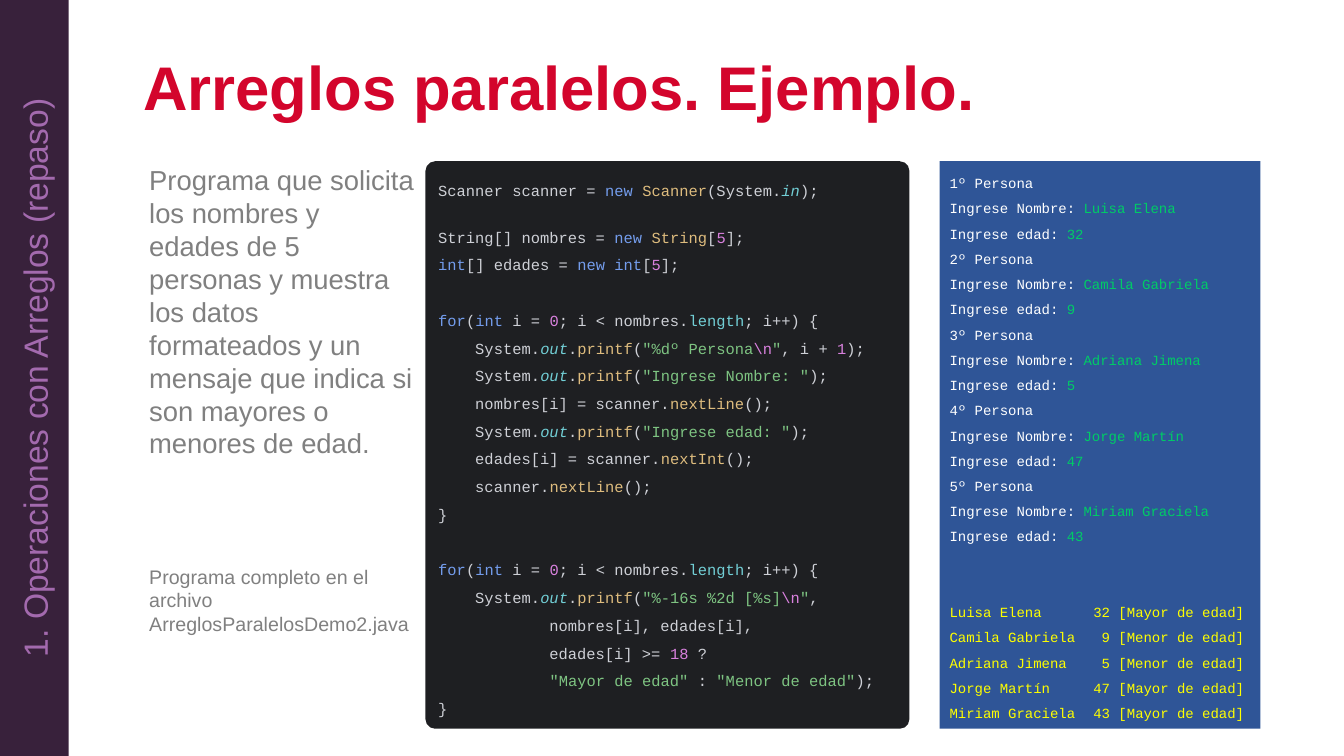
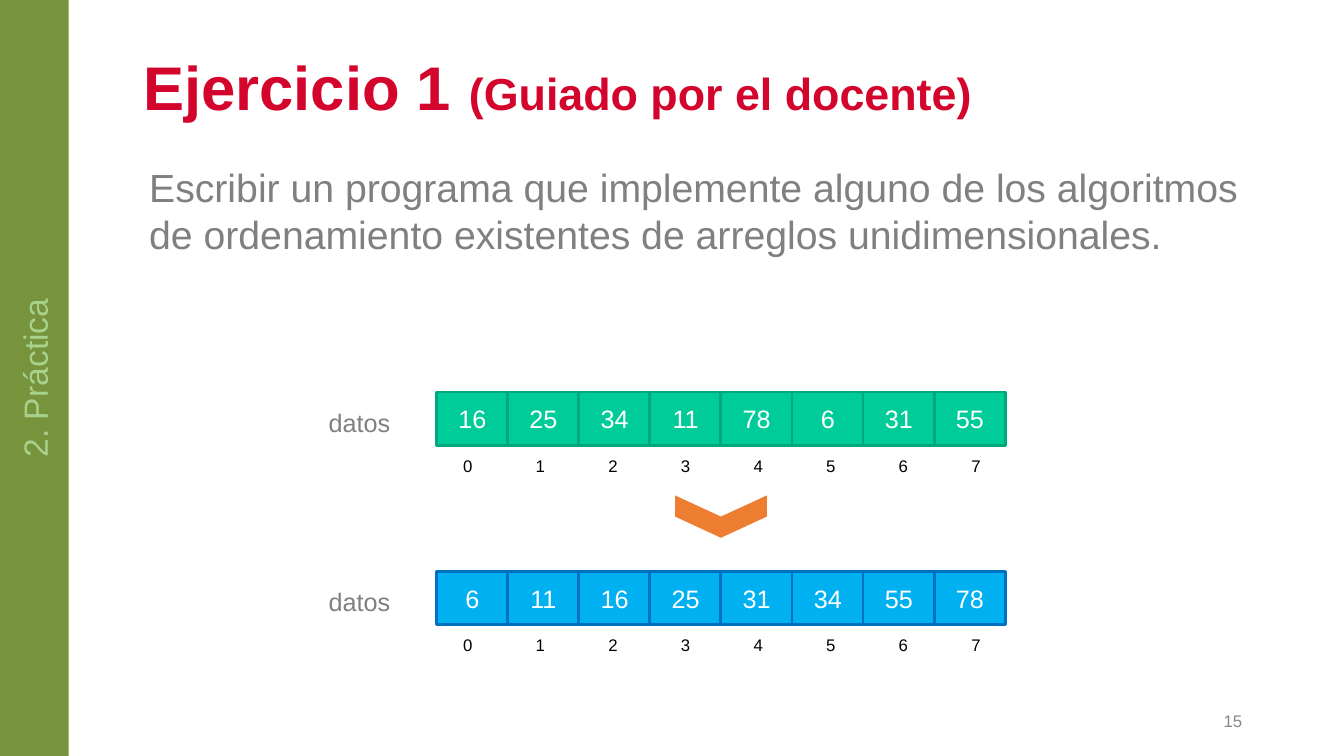
from lxml import etree
from pptx import Presentation
from pptx.dml.color import RGBColor
from pptx.enum.shapes import MSO_SHAPE as Shape
from pptx.enum.text import MSO_ANCHOR as Anchor, MSO_AUTO_SIZE as AutoSize, PP_ALIGN as Align
from pptx.oxml.ns import qn
from pptx.util import Inches, Pt

color = RGBColor.from_string

# Shared formats
TITLE = {"size": Pt(44), "name": "Arial", "bold": True, "color": "D3052C"}
SUBTITLE = TITLE | {"size": Pt(32)}
BODY = {"size": Pt(19.6), "name": "Arial", "color": "808080"}
BAND = {"size": Pt(24), "name": "Arial"}
CODE = {"size": Pt(11), "name": "Courier New", "color": "CED0D6"}
CONSOLE = {"size": Pt(10), "name": "Courier New", "color": "FFFFFF"}

# Code colours, by the letter that opens a marked span
SYNTAX = {
    "k": {"color": "749DED"},
    "f": {"color": "DEBC7E"},
    "n": {"color": "D981DE"},
    "s": {"color": "7EC482"},
    "p": {"color": "72CFD6"},
    "i": {"color": "72CFD6", "italic": True},
}


def add_span(para, text, formats):
    span = para.add_run()
    span.text = text
    for name, value in formats.items():
        if name == "color":
            span.font.color.rgb = color(value)
        else:
            setattr(span.font, name, value)


def add_box(shapes, kind, place, fill=None, line=None, anchor=Anchor.MIDDLE, align=Align.CENTER):
    place = [Inches(length) for length in place]
    if kind is None:
        box = shapes.add_textbox(*place)
    else:
        box = shapes.add_shape(kind, *place)
        box.shadow.inherit = False
        box.fill.solid()
        box.fill.fore_color.rgb = color(fill)
        if line:
            box.line.color.rgb = color(line)
            box.line.width = Pt(2)
        else:
            box.line.fill.background()
    box.text_frame.word_wrap = True
    box.text_frame.vertical_anchor = anchor
    box.text_frame.paragraphs[0].alignment = align
    return box


deck = Presentation()
deck.slide_width, deck.slide_height = Inches(13.33), Inches(7.5)

# Title, body and side band of each slide
slides = [
    {
        "title": [("Arreglos paralelos. Ejemplo.", TITLE)],
        "body_width": 2.9,
        "body": [
            ("Programa que solicita los nombres y edades de 5 personas y muestra los datos "
             "formateados y un mensaje que indica si son mayores o menores de edad.", BODY, 0),
            ("Programa completo en el archivo ArreglosParalelosDemo2.java",
             BODY | {"size": Pt(14)}, 75),
        ],
        "band": ("1. Operaciones con Arreglos (repaso)", "38213B", "A36AAE"),
    },
    {
        "title": [("Ejercicio 1 ", TITLE), ("(Guiado por el docente)", SUBTITLE)],
        "body_width": 11.1,
        "body": [
            ("Escribir un programa que implemente alguno de los algoritmos de ordenamiento "
             "existentes de arreglos unidimensionales.", BODY | {"size": Pt(28)}, 0),
        ],
        "band": ("2. Práctica", "77933C", "A9D18E"),
    },
]
pages = []
for content in slides:
    page = deck.slides.add_slide(deck.slide_layouts[1])
    pages.append(page)
    title, body = page.shapes.title, page.placeholders[1]
    for holder, place in (
        (title, (1.32, 0.47, 11.1, 0.86)),
        (body, (1.32, 1.57, content["body_width"], 5.23)),
    ):
        holder.left, holder.top, holder.width, holder.height = map(Inches, place)
        holder.text_frame.auto_size = AutoSize.NONE
    title.text_frame.vertical_anchor = Anchor.MIDDLE

    para = title.text_frame.paragraphs[0]
    para.alignment, para.line_spacing = Align.LEFT, 0.9
    for text, formats in content["title"]:
        add_span(para, text, formats)

    for number, (text, formats, gap) in enumerate(content["body"]):
        para = body.text_frame.add_paragraph() if number else body.text_frame.paragraphs[0]
        properties = para._p.get_or_add_pPr()
        properties.set("marL", str(Inches(0.06)))
        properties.set("indent", "0")
        etree.SubElement(properties, qn("a:buNone"))
        para.space_before = Pt(gap)
        add_span(para, text, formats)

    text, fill, ink = content["band"]
    band = add_box(page.shapes, Shape.RECTANGLE, (0, 0, 0.68, 7.5), fill)
    band.element.txBody.bodyPr.set("vert", "vert270")
    add_span(band.text_frame.paragraphs[0], text, BAND | {"color": ink})

example, exercise = pages

# Program: each line with the gap above it, in points
PRINTF = "    System.«iout».«fprintf»("
LOOP = "«kfor»(«kint »i = «n0»; i < nombres.«plength»; i++) {"
code_lines = [
    (0, "Scanner scanner = «knew »«fScanner»(System.«iin»);"),
    (13.2, "String[] nombres = «knew »«fString»[«n5»];"),
    (0, "«kint»[] edades = «knew int»[«n5»];"),
    (19.8, LOOP),
    (0, PRINTF + '«s"%dº Persona»«n\\n»«s"», i + «n1»);'),
    (0, PRINTF + '«s"Ingrese Nombre: "»);'),
    (0, "    nombres[i] = scanner.«fnextLine»();"),
    (0, PRINTF + '«s"Ingrese edad: "»);'),
    (0, "    edades[i] = scanner.«fnextInt»();"),
    (0, "    scanner.«fnextLine»();"),
    (0, "}"),
    (19.8, LOOP),
    (0, PRINTF + '«s"%-16s %2d [%s]»«n\\n»«s"»,'),
    (0, "            nombres[i], edades[i],"),
    (0, "            edades[i] >= «n18 »?"),
    (0, '            «s"Mayor de edad" »: «s"Menor de edad"»);'),
    (0, "}"),
]
panel = add_box(example.shapes, Shape.ROUNDED_RECTANGLE, (4.22, 1.6, 4.8, 5.63), "1E1F22")
panel.adjustments[0] = 0.02
for number, (gap, code) in enumerate(code_lines):
    para = panel.text_frame.add_paragraph() if number else panel.text_frame.paragraphs[0]
    para.alignment, para.line_spacing, para.space_before = Align.LEFT, 1.5, Pt(gap)
    plain, *marked = code.split("«")
    spans = [(plain, CODE)]
    for piece in marked:
        token, plain = piece.split("»")
        spans += [(token[1:], CODE | SYNTAX[token[0]]), (plain, CODE)]
    for text, formats in spans:
        if text:
            add_span(para, text, formats)

# Console: the dialogue, then the summary
people = [("Luisa Elena", 32), ("Camila Gabriela", 9), ("Adriana Jimena", 5),
          ("Jorge Martín", 47), ("Miriam Graciela", 43)]
typed = CONSOLE | {"color": "00CC66"}
summary = CONSOLE | {"color": "FFFF00"}
console_lines = []
for number, (name, age) in enumerate(people, 1):
    console_lines += [
        [(f"{number}º Persona", CONSOLE)],
        [("Ingrese Nombre: ", CONSOLE), (name, typed)],
        [("Ingrese edad: ", CONSOLE), (str(age), typed)],
    ]
summary_start = len(console_lines)
for name, age in people:
    group = "Mayor" if age >= 18 else "Menor"
    console_lines.append([(f"{name}\t{age} [{group} de edad]", summary)])

console = add_box(example.shapes, Shape.RECTANGLE, (9.32, 1.6, 3.18, 5.63), "2F5597",
                  anchor=Anchor.TOP)
for number, spans in enumerate(console_lines):
    para = console.text_frame.add_paragraph() if number else console.text_frame.paragraphs[0]
    if number >= summary_start:
        tabs = etree.SubElement(para._p.get_or_add_pPr(), qn("a:tabLst"))
        etree.SubElement(tabs, qn("a:tab"), pos=str(Inches(2.92)), algn="r")
    para.alignment, para.line_spacing = Align.LEFT, 1.5
    para.space_before = Pt(36 if number == summary_start else 0)
    for text, formats in spans:
        add_span(para, text, formats)

# Array before and after sorting
values = [16, 25, 34, 11, 78, 6, 31, 55]
arrays = [(3.89, values, "00CC99", "00A87C"), (5.67, sorted(values), "00B0F0", "0070C0")]
label_format = BODY | {"size": Pt(18)}
value_format = label_format | {"color": "FFFFFF"}
index_format = BODY | {"size": Pt(12), "color": "000000"}
for top, numbers, fill, line in arrays:
    array = exercise.shapes.add_group_shape().shapes
    for index, value in enumerate(numbers):
        cell = add_box(array, Shape.RECTANGLE, (4.33 + 0.705 * index, top, 0.71, 0.53), fill, line)
        add_span(cell.text_frame.paragraphs[0], str(value), value_format)
        position = add_box(array, None, (4.49 + 0.72 * index, top + 0.58, 0.3, 0.3),
                           anchor=Anchor.TOP)
        add_span(position.text_frame.paragraphs[0], str(index), index_format)
    label = add_box(array, None, (3.16, top + 0.1, 1.01, 0.4), anchor=Anchor.TOP, align=Align.LEFT)
    add_span(label.text_frame.paragraphs[0], "datos", label_format)

arrow = add_box(exercise.shapes, Shape.CHEVRON, (6.94, 4.67, 0.42, 0.91), "ED7D31")
arrow.rotation = 90

# Page number
number_box = add_box(exercise.shapes, None, (9.42, 6.95, 3, 0.4), align=Align.RIGHT)
add_span(number_box.text_frame.paragraphs[0], "15", index_format | {"color": "888888"})

deck.save("out.pptx")
